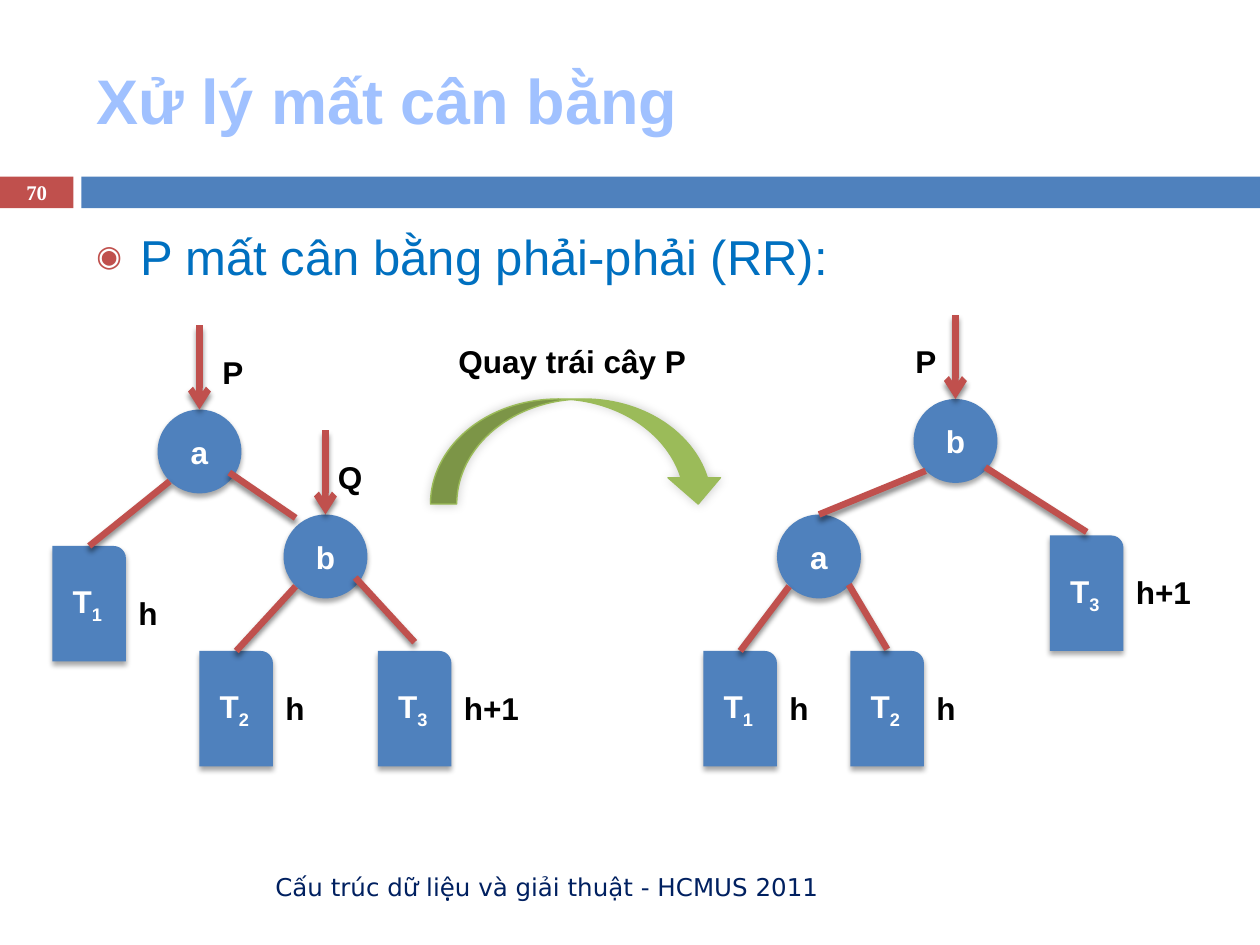
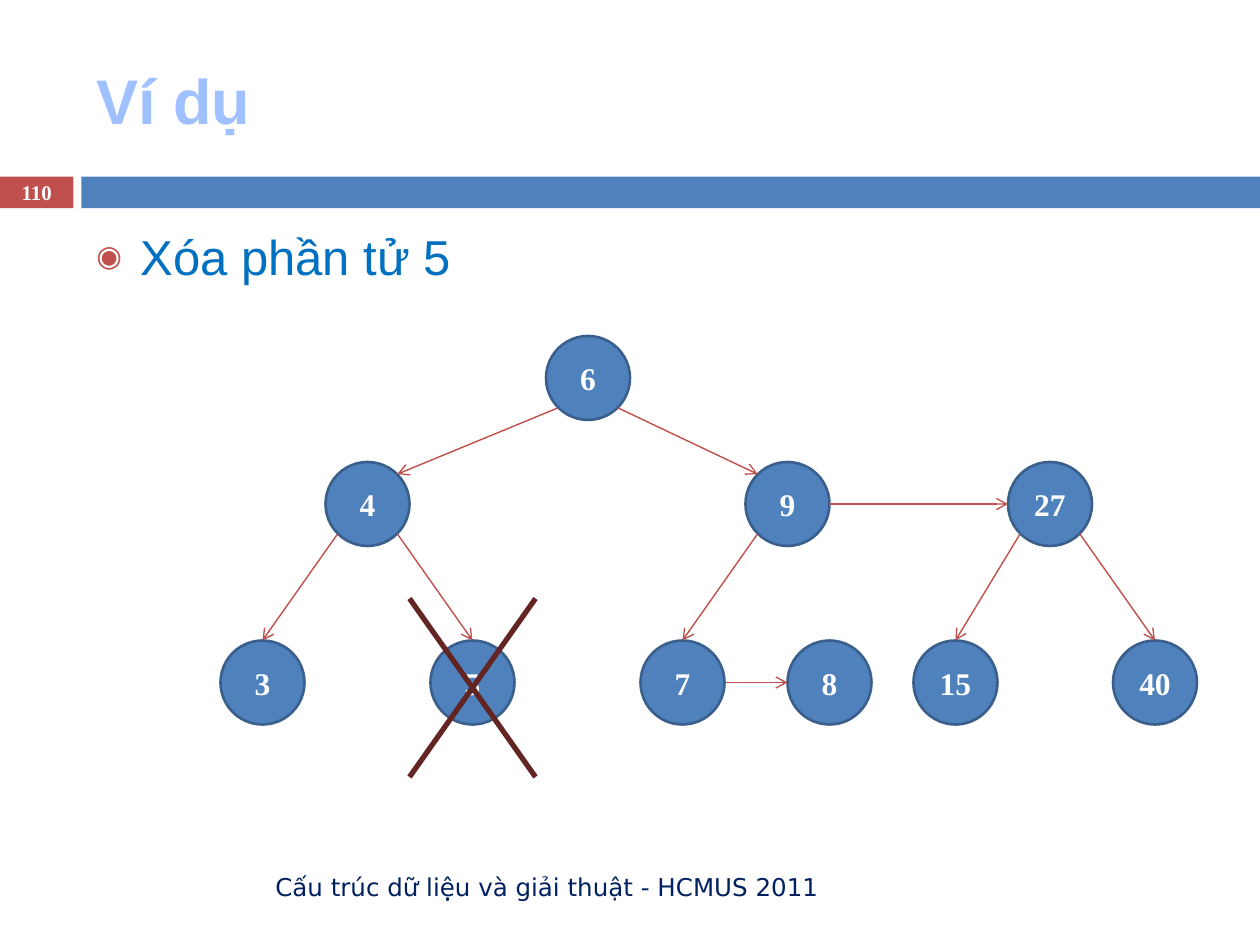
from lxml import etree
from pptx import Presentation
from pptx.dml.color import RGBColor
from pptx.enum import shapes, text
from pptx.oxml import ns
from pptx.util import Pt

COLORS = {
    "title": "A0C1FF", "body": "0070C0", "footer": "002060", "white": "FFFFFF",
    "black": "000000", "blue": "4F81BD", "outline": "3A5F8C", "red": "C0504D",
    "green": "9BBB59", "cross": "632523",
}
ARIAL, TIMES, DEJAVU = "Arial", "Times New Roman", "DejaVu Sans"
FOOTER = "Cấu trúc dữ liệu và giải thuật - HCMUS 2011"
NODE = 48
BOX_W, BOX_H = 42, 66
NODE_SHADOW = (35, 3, 2, 90)
LINE_SHADOW = (45, 3, 2.4, 90)
ARROW_SHADOW = (20, 6, 0, 315)
LEFT, CENTER, RIGHT = text.PP_ALIGN.LEFT, text.PP_ALIGN.CENTER, text.PP_ALIGN.RIGHT
TOP, MIDDLE = text.MSO_ANCHOR.TOP, text.MSO_ANCHOR.MIDDLE
KIND = shapes.MSO_SHAPE
SPOTS = {
    "top": (0, -1), "left": (-1, 0), "right": (1, 0),
    "top left": (-0.71, -0.71), "top right": (0.71, -0.71),
    "bottom left": (-0.71, 0.71), "bottom right": (0.71, 0.71),
}


def rgb(name):
    return RGBColor.from_string(COLORS[name])


def add_xml(parent, tag, **attrs):
    el = etree.SubElement(parent, ns.qn(tag))
    for key, value in attrs.items():
        el.set(key, str(value))
    return el


def add_shadow(effects, shadow):
    alpha, blur, dist, angle = shadow
    outer = add_xml(effects, "a:outerShdw", blurRad=Pt(blur), dist=Pt(dist),
                    dir=angle * 60000, algn="ctr", rotWithShape=0)
    color = add_xml(outer, "a:srgbClr", val=COLORS["black"])
    add_xml(color, "a:alpha", val=alpha * 1000)


def style(font, size, name, color, bold):
    font.size = Pt(size)
    font.name = name
    font.bold = bold
    font.color.rgb = rgb(color)


def add_text(s, content, box, size, name, color, bold=False, align=LEFT, anchor=TOP):
    sp = s.shapes.add_textbox(*map(Pt, box))
    tf = sp.text_frame
    tf.word_wrap = True
    tf.vertical_anchor = anchor
    tf.text = content
    p = tf.paragraphs[0]
    p.alignment = align
    style(p.runs[0].font, size, name, color, bold)
    return sp


def add_filled(s, kind, box, fill, line=None, width=0, shadow=None):
    sp = s.shapes.add_shape(kind, *map(Pt, box))
    sp.shadow.inherit = False
    sp.fill.solid()
    sp.fill.fore_color.rgb = rgb(fill)
    if line:
        sp.line.color.rgb = rgb(line)
        sp.line.width = Pt(width)
    else:
        sp.line.fill.background()
    if shadow:
        add_shadow(sp._element.spPr.find(ns.qn("a:effectLst")), shadow)
    return sp


def write_inside(sp, content, name, subscript=None):
    tf = sp.text_frame
    tf.margin_left = tf.margin_right = 0
    tf.vertical_anchor = MIDDLE
    tf.text = content
    p = tf.paragraphs[0]
    p.alignment = CENTER
    if subscript:
        r = p.add_run()
        r.text = subscript
        r._r.get_or_add_rPr().set("baseline", "-25000")
    for r in p.runs:
        style(r.font, 18, name, "white", True)


def add_node(s, content, x, y, name=ARIAL, **look):
    sp = add_filled(s, KIND.OVAL, (x, y, NODE, NODE), "blue", **look)
    write_inside(sp, content, name)
    return sp


def add_label(s, content, x, y, width=42, align=LEFT):
    add_text(s, content, (x, y, width, 29), 18, ARIAL, "black", True, align)


def add_subtree(s, index, height, x, y, drop=18):
    sp = add_filled(s, KIND.ROUND_1_RECTANGLE, (x, y, BOX_W, BOX_H), "blue",
                    shadow=NODE_SHADOW)
    write_inside(sp, "T", ARIAL, index)
    add_label(s, height, x + BOX_W, y + drop, 54 if len(height) > 1 else 42)
    return sp


def add_line(s, start, end, color, width, arrow=False, shadow=None):
    line = s.shapes.add_connector(shapes.MSO_CONNECTOR.STRAIGHT,
                                  *map(Pt, (*start, *end)))
    line.line.color.rgb = rgb(color)
    line.line.width = Pt(width)
    spPr = line._element.spPr
    if arrow:
        add_xml(spPr.find(ns.qn("a:ln")), "a:tailEnd", type="arrow")
    effects = add_xml(spPr, "a:effectLst")
    if shadow:
        add_shadow(effects, shadow)
    return line


def spot(sp, where, lift=0):
    dx, dy = SPOTS[where]
    w, h = sp.width.pt / 2, sp.height.pt / 2
    return sp.left.pt + w * (1 + dx), sp.top.pt + h * (1 + dy) - lift


def add_branch(s, parent, side, child, end="top", lift=0, **look):
    line = add_line(s, spot(parent, side, lift), spot(child, end, lift), "red", **look)
    if end == "top" and not lift:
        line.end_connect(child, 0)


def add_pointer(s, name, node, label_dx):
    x, y = spot(node, "top")
    line = add_line(s, (x, y - 48), (x, y), "red", 3.75, True, LINE_SHADOW)
    line.end_connect(node, 0)
    add_label(s, name, node.left.pt + label_dx, y - 36)


def add_base(prs, title, number, bullet):
    s = prs.slides.add_slide(prs.slide_layouts[6])
    add_filled(s, KIND.RECTANGLE, (0, 101, 42, 18), "red")
    add_filled(s, KIND.RECTANGLE, (46.5, 101, 673.5, 18), "blue")
    add_text(s, title, (48, 18, 642, 78), 36, ARIAL, "title", True, anchor=MIDDLE)
    add_text(s, FOOTER, (48, 492, 427, 29), 14, DEJAVU, "footer",
             align=RIGHT, anchor=MIDDLE)
    add_text(s, number, (0, 100, 42, 19.5), 11.9, TIMES, "white", True, CENTER, MIDDLE)
    sp = add_text(s, bullet, (48, 126, 642, 354), 28, ARIAL, "body")
    pPr = sp.text_frame.paragraphs[0]._p.get_or_add_pPr()
    pPr.set("marL", str(Pt(25.2)))
    pPr.set("indent", str(-Pt(25.2)))
    add_xml(add_xml(pPr, "a:buClr"), "a:srgbClr", val=COLORS["red"])
    add_xml(pPr, "a:buSzPct", val=60000)
    add_xml(pPr, "a:buFont", typeface=DEJAVU)
    add_xml(pPr, "a:buChar", char="◉")
    return s


def add_rotation_slide(prs):
    s = add_base(prs, "Xử lý mất cân bằng", "70", "P mất cân bằng phải-phải (RR):")
    look = dict(width=3.75, shadow=LINE_SHADOW)

    a = add_node(s, "a", 90, 234, shadow=NODE_SHADOW)
    b = add_node(s, "b", 162, 294, shadow=NODE_SHADOW)
    t1 = add_subtree(s, "1", "h", 30, 312, drop=24)
    t2 = add_subtree(s, "2", "h", 114, 372)
    t3 = add_subtree(s, "3", "h+1", 216, 372)
    add_branch(s, a, "bottom left", t1, **look)
    add_branch(s, a, "bottom right", b, "top left", lift=5, **look)
    add_branch(s, b, "bottom left", t2, **look)
    add_branch(s, b, "bottom right", t3, lift=5, **look)
    add_pointer(s, "P", a, 30)
    add_pointer(s, "Q", b, 24)

    a = add_node(s, "a", 444, 294, shadow=NODE_SHADOW)
    b = add_node(s, "b", 522, 228, shadow=NODE_SHADOW)
    t1 = add_subtree(s, "1", "h", 402, 372)
    t2 = add_subtree(s, "2", "h", 486, 372)
    t3 = add_subtree(s, "3", "h+1", 600, 306)
    add_branch(s, a, "bottom left", t1, **look)
    add_branch(s, b, "bottom left", a, **look)
    add_branch(s, a, "bottom right", t2, lift=1, **look)
    add_branch(s, b, "bottom right", t3, lift=2, **look)
    add_pointer(s, "P", b, -6)

    add_filled(s, KIND.CURVED_DOWN_ARROW, (246, 228, 168, 60), "green",
               "green", 0.79, ARROW_SHADOW)
    add_label(s, "Quay trái cây P", 246, 192, 162, CENTER)


def add_deletion_slide(prs):
    s = add_base(prs, "Ví dụ", "110", "Xóa phần tử 5")
    levels = {
        192: {"6": 312},
        264: {"4": 186, "9": 426, "27": 576},
        366: {"3": 126, "5": 246, "7": 366, "8": 450, "15": 522, "40": 636},
    }
    nodes = {key: add_node(s, key, x, y, TIMES, line="outline", width=1.5)
             for y, level in levels.items() for key, x in level.items()}
    branches = [
        ("6", "bottom left", "4", "top right"),
        ("6", "bottom right", "9", "top left"),
        ("4", "bottom left", "3", "top"),
        ("4", "bottom right", "5", "top"),
        ("9", "bottom left", "7", "top"),
        ("9", "right", "27", "left"),
        ("27", "bottom left", "15", "top"),
        ("27", "bottom right", "40", "top"),
        ("7", "right", "8", "left"),
    ]
    for parent, side, child, end in branches:
        add_branch(s, nodes[parent], side, nodes[child], end, width=0.79, arrow=True)
    for x1, x2 in ((234, 306), (306, 234)):
        add_line(s, (x1, 342), (x2, 444), "cross", 3)


def main():
    prs = Presentation()
    prs.slide_width, prs.slide_height = Pt(720), Pt(540)
    add_rotation_slide(prs)
    add_deletion_slide(prs)
    prs.save("out.pptx")


if __name__ == "__main__":
    main()
